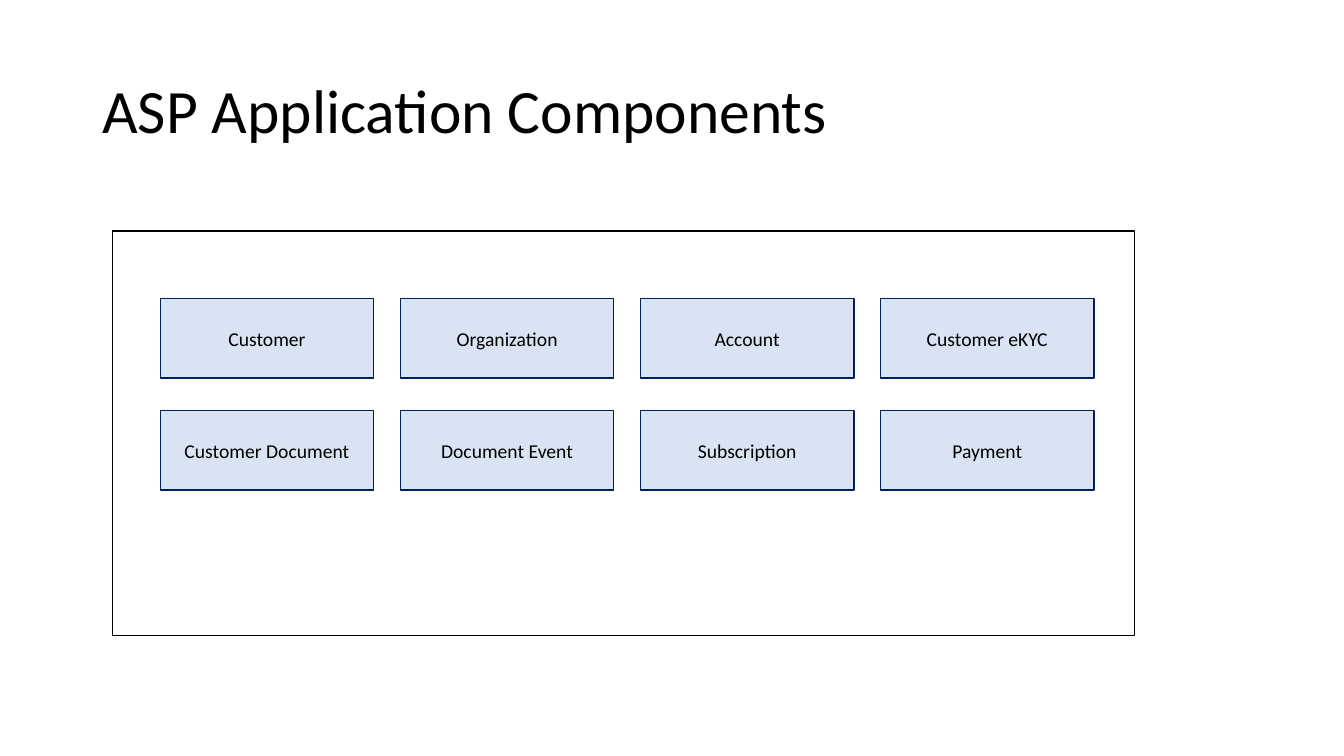
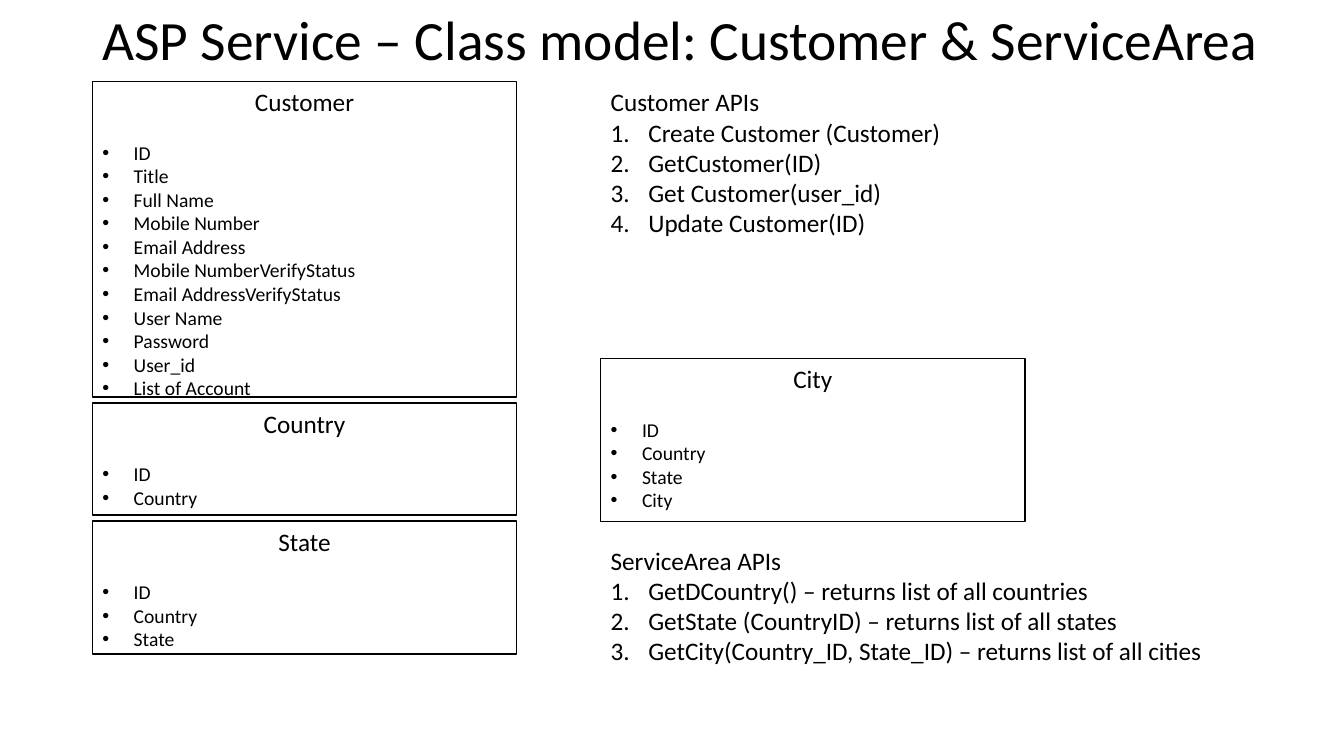
from lxml import etree
from pptx import Presentation
from pptx.dml.color import RGBColor
from pptx.enum.shapes import MSO_SHAPE
from pptx.enum.text import MSO_ANCHOR, PP_ALIGN
from pptx.oxml.ns import qn
from pptx.util import Cm, Pt

RECT = MSO_SHAPE.RECTANGLE
TOP, MID = MSO_ANCHOR.TOP, MSO_ANCHOR.MIDDLE
LEFT, MIDST = PP_ALIGN.LEFT, PP_ALIGN.CENTER
BLACK, NAVY, PALE = "000000", "002060", "DAE3F3"
DOT = (0.79, "Arial", "a:buChar", {"char": "•"})
NUM = (0.95, "+mj-lt", "a:buAutoNum", {"type": "arabicPeriod"})


def tint(code):
    return RGBColor.from_string(code)


class Deck:
    """Hold the shared style and the current slide."""

    face = "Calibri"
    head, body = 18, 14
    edge = 1

    def __init__(self):
        self.prs = Presentation()
        self.prs.slide_width, self.prs.slide_height = Cm(33.87), Cm(19.05)
        self.slide = None

    def page(self, text, box, size):
        self.slide = self.prs.slides.add_slide(self.prs.slide_layouts[6])
        frame = self.area(box, MID)
        self.line(frame.paragraphs[0], text, size, line_spacing=0.9)

    def area(self, box, anchor=TOP):
        shape = self.slide.shapes.add_textbox(*map(Cm, box))
        return self.setup(shape, anchor)

    def setup(self, shape, anchor):
        frame = shape.text_frame
        form = {"word_wrap": True, "vertical_anchor": anchor}
        for name, value in form.items():
            setattr(frame, name, value)
        return frame

    def line(self, para, text, size, **form):
        for name, value in form.items():
            setattr(para, name, value)
        run = para.add_run()
        run.text = text
        for name, value in {"name": self.face, "size": Pt(size)}.items():
            setattr(run.font, name, value)
        run.font.color.rgb = tint(BLACK)

    def rect(self, box, fill=None, edge=BLACK, anchor=TOP):
        shape = self.slide.shapes.add_shape(RECT, *map(Cm, box))
        shape.shadow.inherit = False
        if fill:
            shape.fill.solid()
            shape.fill.fore_color.rgb = tint(fill)
        else:
            shape.fill.background()
        shape.line.color.rgb = tint(edge)
        shape.line.width = Pt(self.edge)
        return self.setup(shape, anchor)

    def card(self, box, text):
        frame = self.rect(box, PALE, NAVY, MID)
        self.line(frame.paragraphs[0], text, self.body, alignment=MIDST)

    def items(self, frame, rows, size, mark):
        hang, face, tag, attrs = mark
        for text in rows:
            para = frame.add_paragraph()
            props = para._p.get_or_add_pPr()
            props.set("marL", str(int(Cm(hang))))
            props.set("indent", str(-int(Cm(hang))))
            etree.SubElement(props, qn("a:buFont"), typeface=face)
            etree.SubElement(props, qn(tag), attrs)
            self.line(para, text, size, alignment=LEFT)

    def model(self, box, name, rows):
        frame = self.rect(box)
        self.line(frame.paragraphs[0], name, self.head,
                  alignment=MIDST, space_after=Pt(17))
        self.items(frame, rows, self.body, DOT)

    def calls(self, box, name, rows):
        frame = self.area(box)
        self.line(frame.paragraphs[0], name, self.head)
        self.items(frame, rows, self.head, NUM)


def parts(deck):
    deck.page("ASP Application Components", (2.33, 1.02, 29.21, 3.68), 44)
    deck.rect((2.84, 5.82, 25.76, 10.19))
    names = ["Customer", "Organization", "Account", "Customer eKYC",
             "Customer Document", "Document Event", "Subscription", "Payment"]
    for i, name in enumerate(names):
        row, col = divmod(i, 4)
        deck.card((4.04 + 6.05 * col, 7.52 + 2.82 * row, 5.38, 2.01), name)


def models(deck):
    deck.page("ASP Service – Class model: Customer & ServiceArea",
              (2.33, 0.25, 31.11, 1.65), 39.6)
    left, right, top, wide, gap = 2.33, 15.14, 2.06, 10.69, 0.15
    stack = [
        ("Customer", 7.95, ["ID", "Title", "Full Name", "Mobile Number",
                            "Email Address", "Mobile NumberVerifyStatus",
                            "Email AddressVerifyStatus", "User Name",
                            "Password", "User_id", "List of Account"]),
        ("Country", 2.82, ["ID", "Country"]),
        ("State", 3.35, ["ID", "Country", "State"]),
    ]
    y = top
    for name, high, rows in stack:
        deck.model((left, y, wide, high), name, rows)
        y += high + gap
    deck.model((right, 9.04, wide, 4.11), "City",
               ["ID", "Country", "State", "City"])
    deck.calls((right, top, 8.92, 4.11), "Customer APIs",
               ["Create Customer (Customer)", "GetCustomer(ID)",
                "Get Customer(user_id)", "Update Customer(ID)"])
    deck.calls((right, 13.61, 15.57, 3.33), "ServiceArea APIs",
               ["GetDCountry() – returns list of all countries",
                "GetState (CountryID) – returns list of all states",
                "GetCity(Country_ID, State_ID) – returns list of all cities"])


def main():
    deck = Deck()
    parts(deck)
    models(deck)
    deck.prs.save("out.pptx")


if __name__ == "__main__":
    main()
